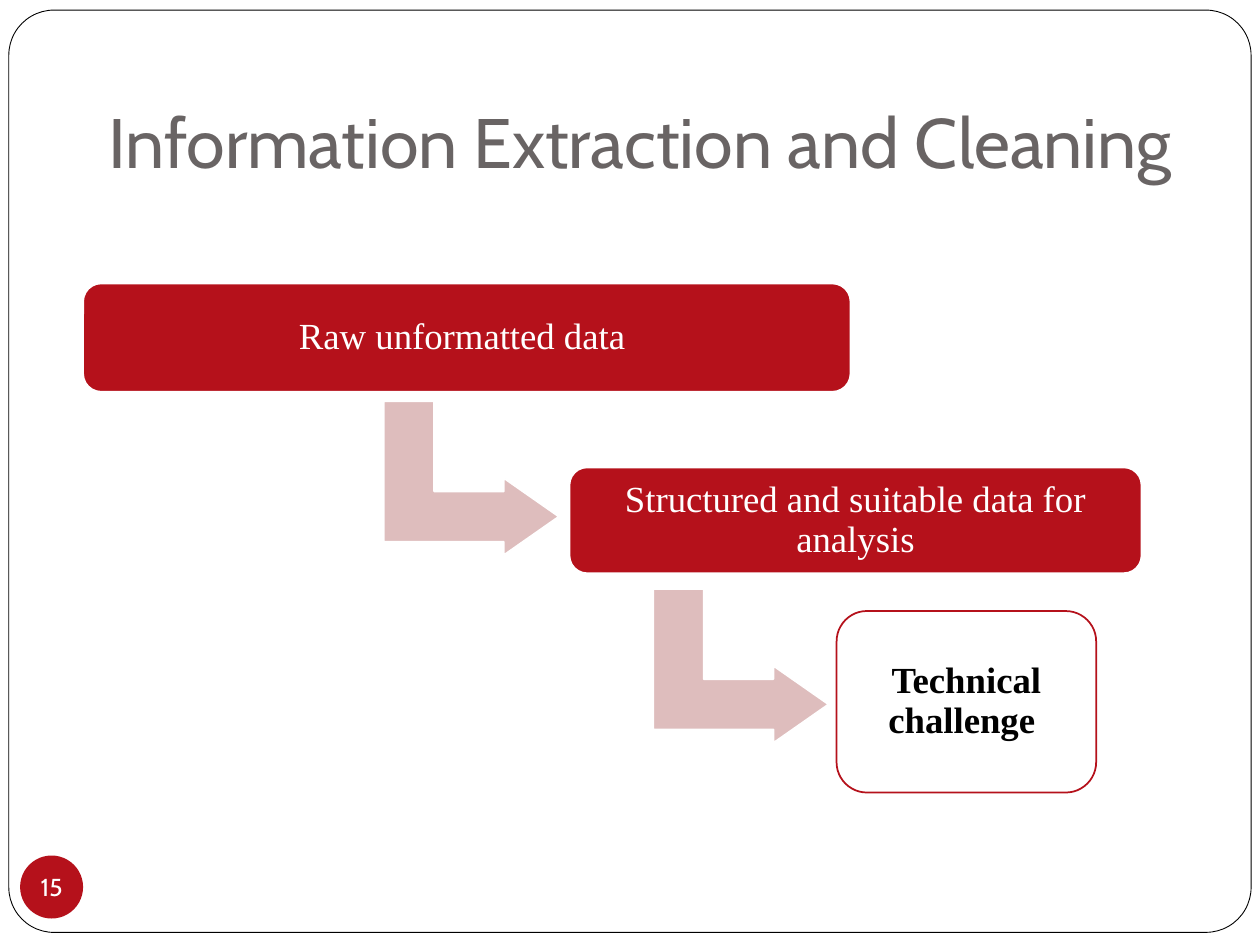
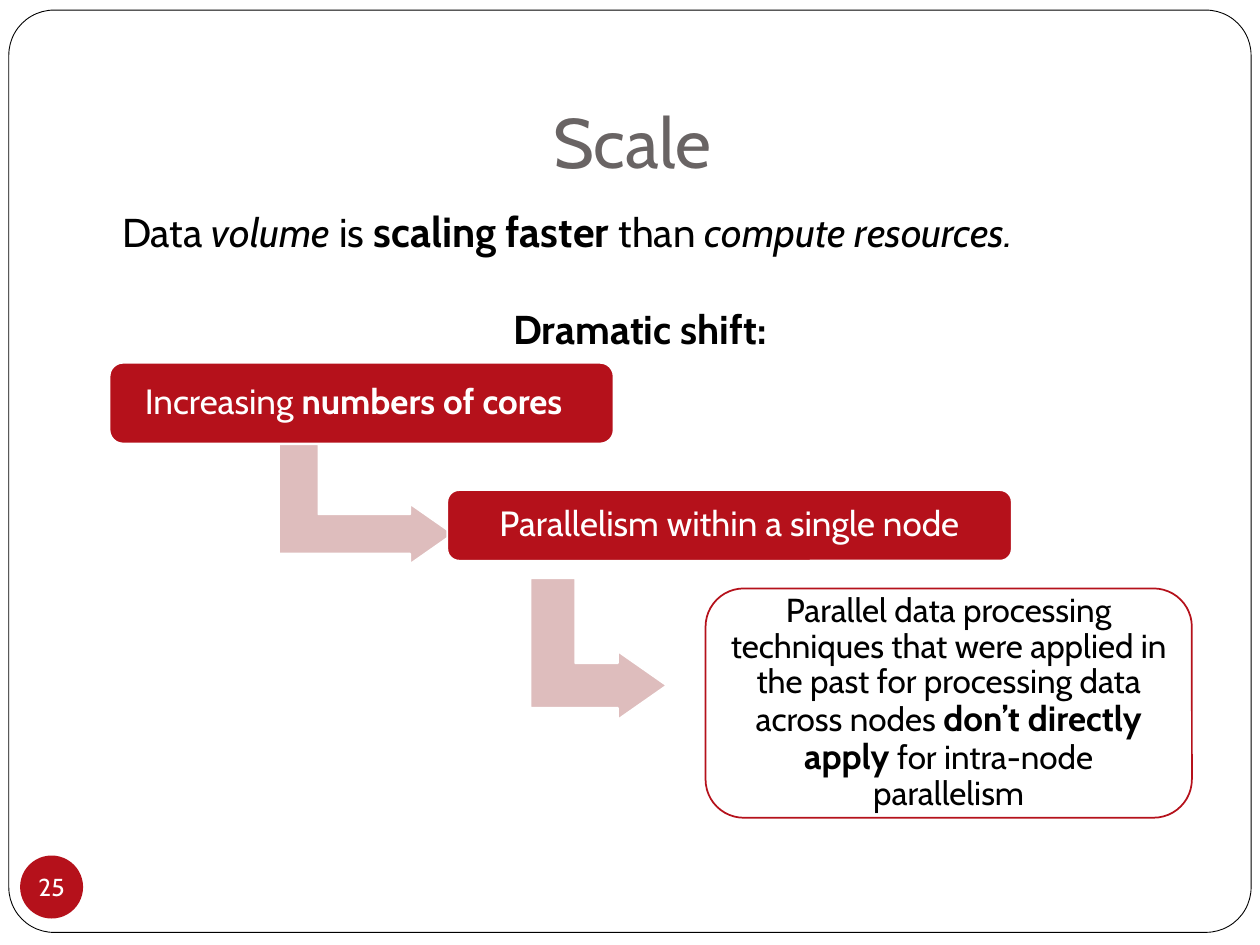
"""Build two slides that show stepped processes in a shared red style."""
from pptx import Presentation
from pptx.dml.color import RGBColor
from pptx.enum.shapes import MSO_SHAPE
from pptx.enum.text import MSO_ANCHOR, MSO_AUTO_SIZE, PP_ALIGN
from pptx.util import Inches, Pt

ROUNDED = MSO_SHAPE.ROUNDED_RECTANGLE
ELLIPSE = MSO_SHAPE.OVAL
BENT_ARROW = MSO_SHAPE.BENT_UP_ARROW
CENTER, LEFT = PP_ALIGN.CENTER, PP_ALIGN.LEFT
MIDDLE, TOP, BOTTOM = MSO_ANCHOR.MIDDLE, MSO_ANCHOR.TOP, MSO_ANCHOR.BOTTOM
NO_AUTOFIT = MSO_AUTO_SIZE.NONE
TITLE_ONLY = 5

COLORS = {
    "white": "FFFFFF",
    "black": "000000",
    "red": "B5111B",
    "pink": "DEBDBD",
    "gray": "696464",
}
SANS, SERIF = "Cabin", "Times New Roman"


def color(name):
    return RGBColor.from_string(COLORS[name])


class StepDeck:
    def __init__(self):
        self.deck = Presentation()
        self.deck.slide_width = Inches(10)
        self.deck.slide_height = Inches(7.5)
        self.page = None

    def add_page(self, title, number):
        layout = self.deck.slide_layouts[TITLE_ONLY]
        self.page = self.deck.slides.add_slide(layout)
        self.shape(ROUNDED, (0.07, 0.08, 9.86, 7.32), None, "black", 0.5, [0.049])
        self.title(title)
        badge = self.shape(ELLIPSE, (0.16, 6.79, 0.5, 0.5), "red")
        self.frame(badge, MIDDLE, (0, 0, 0, 0), wrap=False)
        self.fill_para(badge.text_frame.paragraphs[0], [(str(number),)], 14, "white")

    def title(self, text):
        box = self.page.shapes.title
        box.left, box.top = Inches(0.66), Inches(0.3)
        box.width, box.height = Inches(8.84), Inches(1.25)
        self.frame(box, BOTTOM, (0.1, 0.05, 0.1, 0.1))
        self.fill_para(box.text_frame.paragraphs[0], [(text,)], 40, "gray")

    def shape(self, kind, place, fill, line=None, weight=1, adjustments=()):
        shape = self.page.shapes.add_shape(kind, *map(Inches, place))
        shape.shadow.inherit = False
        for index, value in enumerate(adjustments):
            shape.adjustments[index] = value
        if fill:
            shape.fill.solid()
            shape.fill.fore_color.rgb = color(fill)
        else:
            shape.fill.background()
        if line:
            shape.line.color.rgb = color(line)
            shape.line.width = Pt(weight)
        else:
            shape.line.fill.background()
        return shape

    def frame(self, box, anchor, insets, wrap=True):
        frame = box.text_frame
        frame.auto_size = NO_AUTOFIT
        frame.word_wrap = wrap
        frame.vertical_anchor = anchor
        (frame.margin_left, frame.margin_top,
         frame.margin_right, frame.margin_bottom) = map(Inches, insets)

    def fill_para(self, para, spans, size, ink, font=SANS, align=CENTER):
        """Fill a paragraph from (text, style, size) spans; style and size are optional."""
        para.alignment = align
        para.font.name = font
        para.font.size = Pt(size)
        para.font.color.rgb = color(ink)
        for text, *details in spans:
            span = para.add_run()
            span.text = text
            if "bold" in details:
                span.font.bold = True
            if "italic" in details:
                span.font.italic = True
            if len(details) > 1:
                span.font.size = Pt(details[1])

    def arrow(self, place):
        arrow = self.shape(BENT_ARROW, place, "pink", "white",
                           adjustments=(0.328, 0.25, 0.358))
        arrow.rotation = 90

    def step(self, place, spans, size, font=SANS, inset=0.08, outlined=False):
        fill, line, ink = ("white", "red", "black") if outlined else ("red", "white", "white")
        box = self.shape(ROUNDED, place, fill, line, adjustments=[0.167])
        self.frame(box, MIDDLE, [inset] * 4)
        para = box.text_frame.paragraphs[0]
        para.line_spacing = 0.9
        self.fill_para(para, spans, size, ink, font)

    def statement(self, place, lead, heading):
        box = self.page.shapes.add_textbox(*map(Inches, place))
        self.frame(box, TOP, (0.1, 0.05, 0.1, 0.05))
        self.fill_para(box.text_frame.paragraphs[0], lead, 23, "black", align=LEFT)
        para = box.text_frame.add_paragraph()
        para.space_before = Pt(28)
        self.fill_para(para, heading, 23, "black")


def add_cleaning(deck):
    deck.add_page("Information Extraction and Cleaning", 15)
    for left, top in ((3.13, 3.1), (5.27, 4.59)):
        deck.arrow((left, top, 1.22, 1.39))
    serif = {"size": 21, "font": SERIF, "inset": 0.09}
    deck.step((0.66, 2.25, 6.09, 0.86), [("Raw unformatted data ",)], **serif)
    deck.step((4.52, 3.71, 4.54, 0.84),
              [("Structured and suitable data for analysis",)], **serif)
    deck.step((6.64, 4.85, 2.06, 1.44), [("Technical challenge ", "bold")],
              outlined=True, **serif)


def add_scale(deck):
    deck.add_page("Scale ", 25)
    deck.statement(
        (0.87, 1.58, 8.42, 1.28),
        [("Data ",), ("volume", "italic"), (" is ",),
         ("scaling faster ", "bold", 24), ("than ",),
         ("compute resources.", "italic")],
        [("Dramatic shift:", "bold")])
    deck.arrow((2.43, 3.31, 0.95, 1.38))
    deck.arrow((4.19, 4.61, 1.12, 1.08))
    deck.step((0.87, 2.88, 4, 0.64),
              [("Increasing ",), ("numbers of cores  ", "bold")], 20)
    deck.step((3.55, 3.89, 4.48, 0.56), [("Parallelism within a single node",)], 20)
    deck.step(
        (5.6, 4.67, 3.86, 1.82),
        [("Parallel data processing techniques that were applied in the past "
          "for processing data across nodes ",),
         ("don’t directly apply", "bold", 20),
         (" for intra-node parallelism",)],
        19, outlined=True)


def main():
    deck = StepDeck()
    add_cleaning(deck)
    add_scale(deck)
    deck.deck.save("out.pptx")


if __name__ == "__main__":
    main()
